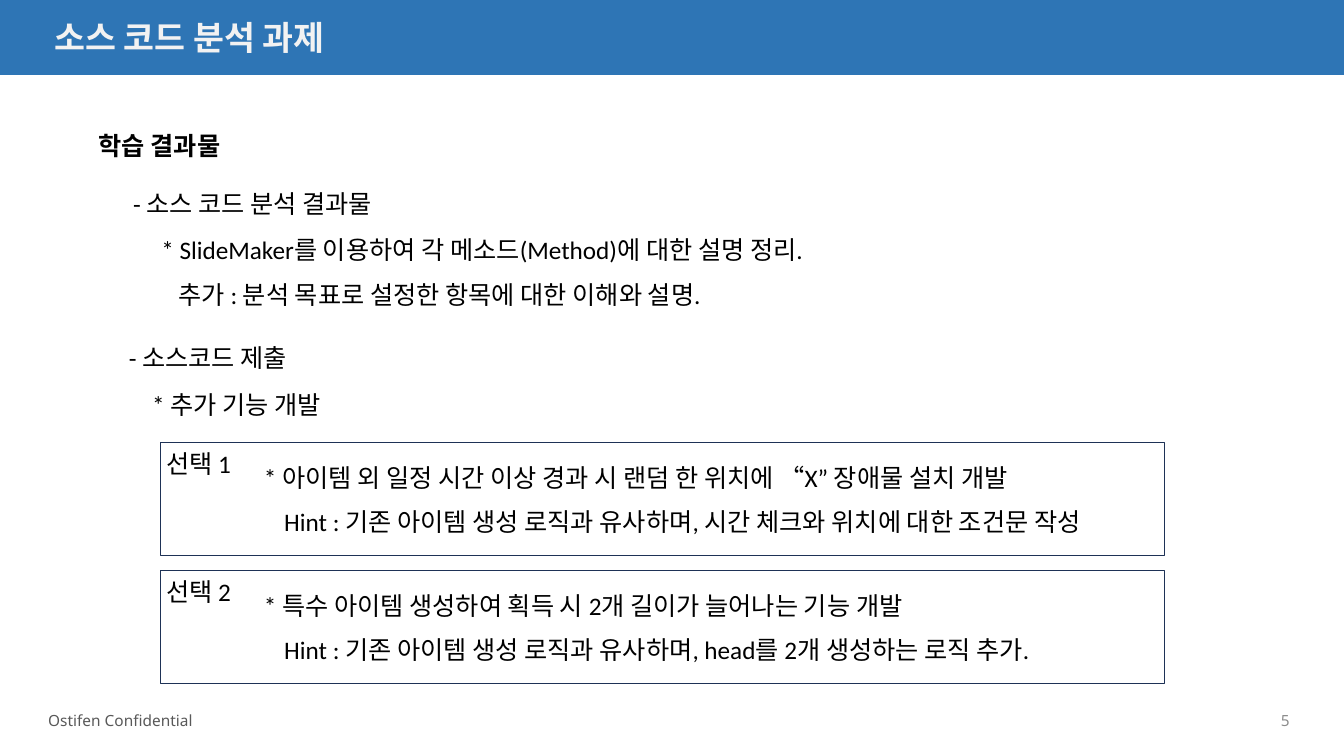
import pptx
import pptx.dml.color
import pptx.enum.shapes
import pptx.enum.text
import pptx.oxml
import pptx.oxml.ns
import pptx.util

Inches = pptx.util.Inches
Pt = pptx.util.Pt
Anchor = pptx.enum.text.MSO_ANCHOR
Align = pptx.enum.text.PP_ALIGN

BLUE, NAVY, BLACK = "2E75B5", "1E3256", "000000"
BODY = {"name": "Calibri", "size": Pt(18), "bold": False}
HEADING = {**BODY, "bold": True}
TITLE = {"name": "Noto Sans", "size": Pt(24), "bold": True}
FOOTER = {"name": "Noto Sans", "size": Pt(11), "bold": False}


def color(value):
    return pptx.dml.color.RGBColor.from_string(value)


class SlideBuilder:
    def __init__(self, slide):
        self.slide = slide

    def place(self, shape, box):
        for name, value in zip(("left", "top", "width", "height"), box):
            setattr(shape, name, Inches(value))

    def fill_text(self, shape, lines, style=BODY, ink=BLACK, wrap=True,
                  anchor=Anchor.TOP, align=Align.LEFT, spacing=1.0):
        """Set (text, indent in inches) pairs, one paragraph each."""
        frame = shape.text_frame
        frame_format = {
            "word_wrap": wrap, "vertical_anchor": anchor,
            "auto_size": pptx.enum.text.MSO_AUTO_SIZE.NONE,
            "margin_left": Inches(0.1), "margin_right": Inches(0.1),
            "margin_top": Inches(0.05), "margin_bottom": Inches(0.05),
        }
        for name, value in frame_format.items():
            setattr(frame, name, value)
        for index, (text, indent) in enumerate(lines):
            paragraph = frame.add_paragraph() if index else frame.paragraphs[0]
            paragraph.text = text
            properties = paragraph._p.get_or_add_pPr()
            properties.set("marL", str(Inches(indent)))
            properties.set("indent", "0")
            properties.append(pptx.oxml.parse_xml(
                f"<a:buNone {pptx.oxml.ns.nsdecls('a')}/>"))
            paragraph_format = {"alignment": align, "line_spacing": spacing,
                                "space_before": Pt(0), "space_after": Pt(0)}
            for name, value in paragraph_format.items():
                setattr(paragraph, name, value)
            font = paragraph.runs[0].font
            for name, value in style.items():
                setattr(font, name, value)
            font.color.rgb = color(ink)

    def placeholder(self, index, box, lines, **options):
        shape = self.slide.placeholders[index]
        self.place(shape, box)
        self.fill_text(shape, lines, **options)

    def text(self, box, text, indent=0, **options):
        shape = self.slide.shapes.add_textbox(*map(Inches, box))
        self.fill_text(shape, [(text, indent)], **options)

    def rectangle(self, box, line, fill=None):
        shape = self.slide.shapes.add_shape(
            pptx.enum.shapes.MSO_SHAPE.RECTANGLE, *map(Inches, box))
        shape.shadow.inherit = False
        if fill:
            shape.fill.solid()
            shape.fill.fore_color.rgb = color(fill)
        else:
            shape.fill.background()
        shape.line.color.rgb = color(line)
        shape.line.width = Pt(1)
        return shape

    def send_to_back(self, shape):
        self.slide.shapes._spTree.insert(2, shape._element)

    def option(self, top, label, item, hint):
        self.rectangle((1.59, top, 9.96, 1.12), NAVY)
        self.text((1.55, top + 0.01, 1.2, 0.4), label)
        self.text((2.44, top + 0.15, 8.14, 0.4), item, indent=0.08)
        self.text((2.72, top + 0.58, 9.02, 0.4), hint)


def main():
    presentation = pptx.Presentation()
    presentation.slide_width = Inches(13.33)
    presentation.slide_height = Inches(7.5)
    slide = presentation.slides.add_slide(presentation.slide_layouts[1])
    builder = SlideBuilder(slide)

    # Title band
    builder.send_to_back(builder.rectangle((0, 0, 13.33, 0.74), BLUE, BLUE))
    builder.placeholder(0, (0.44, 0.12, 10.55, 0.5),
                        [("소스 코드 분석 과제", 0)], style=TITLE, ink="F2F2F2")

    # Learning results
    builder.text((0.88, 1.24, 1.52, 0.4), "학습 결과물", style=HEADING, wrap=False)
    builder.placeholder(1, (1.22, 1.67, 7.3, 1.41), [
        ("- 소스 코드 분석 결과물", 0),
        ("* SlideMaker를 이용하여 각 메소드(Method)에 대한 설명 정리.", 0.28),
        ("추가 : 분석 목표로 설정한 항목에 대한 이해와 설명.", 0.45),
    ], spacing=1.5)

    # Source code submission
    builder.text((1.18, 3.35, 1.91, 0.4), "- 소스코드 제출", wrap=False)
    builder.text((1.22, 3.81, 7.75, 0.4), "* 추가 기능 개발", indent=0.19)

    # Options
    options = [
        ("* 아이템 외 일정 시간 이상 경과 시 랜덤 한 위치에 “X” 장애물 설치 개발",
         "Hint : 기존 아이템 생성 로직과 유사하며, 시간 체크와 위치에 대한 조건문 작성"),
        ("* 특수 아이템 생성하여 획득 시 2개 길이가 늘어나는 기능 개발",
         "Hint : 기존 아이템 생성 로직과 유사하며, head를 2개 생성하는 로직 추가."),
    ]
    for index, (item, hint) in enumerate(options):
        builder.option(4.39 + 1.27 * index, f"선택 {index + 1}", item, hint)

    # Footer
    builder.text((0.38, 6.95, 3.27, 0.4), "Ostifen Confidential",
                 style=FOOTER, ink="595959", anchor=Anchor.MIDDLE)
    builder.text((9.42, 6.95, 3.47, 0.4), "5", style=FOOTER, ink="8C8C8C",
                 anchor=Anchor.MIDDLE, align=Align.RIGHT)

    presentation.save("out.pptx")


if __name__ == "__main__":
    main()
